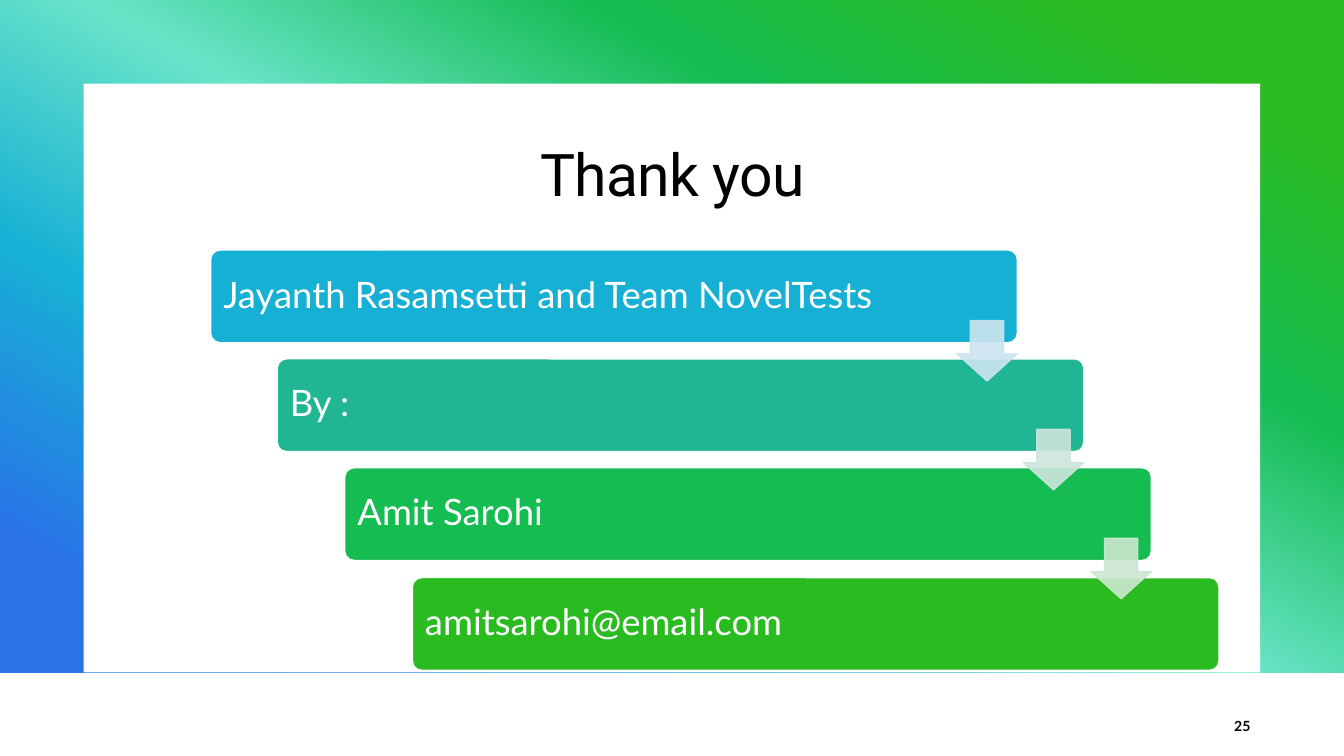
from lxml import etree
from pptx import Presentation
from pptx import util as u
from pptx.dml.color import RGBColor
from pptx.enum import shapes, text
from pptx.oxml.ns import qn

PX = 9144
WHITE = RGBColor(0xFF, 0xFF, 0xFF)
BLACK = RGBColor(0x00, 0x00, 0x00)
LIME = RGBColor(0x2A, 0xBB, 0x21)
GREEN = RGBColor(0x14, 0xBC, 0x51)
MINT = RGBColor(0x68, 0xE4, 0xC8)
TEAL = RGBColor(0x20, 0xB6, 0x94)
CYAN = RGBColor(0x17, 0xB0, 0xD5)
BLUE = RGBColor(0x29, 0x73, 0xE7)
PALE = [RGBColor(0xCC, 0xE4, 0xEF), RGBColor(0xCD, 0xE5, 0xDC), RGBColor(0xCC, 0xE7, 0xD0)]

BLEND = [(10, LIME), (30, GREEN), (50, MINT), (70, CYAN), (90, BLUE)]
STEPS = [
    ("Jayanth Rasamsetti and Team NovelTests", CYAN),
    ("By :", TEAL),
    ("Amit Sarohi", GREEN),
    ("amitsarohi@email.com", LIME),
]
KIND = shapes.MSO_SHAPE
ALIGN = text.PP_ALIGN


class Deck:
    def __init__(self, wide, high):
        self.show = Presentation()
        self.show.slide_width = wide * PX
        self.show.slide_height = high * PX
        self.slide = self.show.slides.add_slide(self.show.slide_layouts[5])

    def words(self, item, line, align, font, space=None, inset=10):
        frame = item.text_frame
        frame.text = line
        look = {"word_wrap": True, "vertical_anchor": text.MSO_ANCHOR.MIDDLE,
                "auto_size": text.MSO_AUTO_SIZE.NONE,
                "margin_left": inset * PX, "margin_right": inset * PX,
                "margin_top": 5 * PX, "margin_bottom": 5 * PX}
        for key, value in look.items():
            setattr(frame, key, value)
        para = frame.paragraphs[0]
        para.alignment = align
        para.line_spacing = space
        run = para.runs[0]
        run.font.color.rgb = font["color"]
        for key in ("name", "size", "bold"):
            setattr(run.font, key, font.get(key))
        return run

    def title(self, line, box, font):
        item = self.slide.shapes.title
        for key, value in zip(("left", "top", "width", "height"), box):
            setattr(item, key, value * PX)
        run = self.words(item, line, ALIGN.CENTER, font, 0.95)
        run._r.get_or_add_rPr().set("spc", "-50")
        self.slide.shapes._spTree.append(item._element)

    def label(self, line, box, font):
        item = self.slide.shapes.add_textbox(*(n * PX for n in box))
        self.words(item, line, ALIGN.RIGHT, font)

    def block(self, kind, box, color, edge=None, adjust=()):
        item = self.slide.shapes.add_shape(kind, *(n * PX for n in box))
        item.shadow.inherit = False
        for i, value in enumerate(adjust):
            item.adjustments[i] = value
        item.fill.solid()
        item.fill.fore_color.rgb = color
        if edge is None:
            item.line.fill.background()
        else:
            item.line.color.rgb = edge
            item.line.width = u.Pt(1)
        return item

    def blend(self, box, stops, angle):
        item = self.block(KIND.RECTANGLE, box, WHITE)
        item.fill.gradient()
        item.fill.gradient_angle = 360 - angle
        group = item._element.spPr.find(qn("a:gradFill")).find(qn("a:gsLst"))
        for old in list(group):
            group.remove(old)
        for share, color in stops:
            stop = etree.SubElement(group, qn("a:gs"), pos=str(share * 1000))
            etree.SubElement(stop, qn("a:srgbClr"), val=str(color))

    def step(self, line, box, color, font):
        item = self.block(KIND.ROUNDED_RECTANGLE, box, color, WHITE, [0.1])
        self.words(item, line, ALIGN.LEFT, font, 0.9)

    def arrow(self, box, color):
        item = self.block(KIND.DOWN_ARROW, box, color, color, [0.55, 0.45])
        for tint in item._element.spPr.iter(qn("a:srgbClr")):
            etree.SubElement(tint, qn("a:alpha"), val="90000")


def main():
    deck = Deck(1333, 750)
    deck.blend((0, 0, 1333, 667), BLEND, 120)
    deck.block(KIND.RECTANGLE, (83, 83, 1167, 584), WHITE)
    deck.title("Thank you", (167, 124, 1000, 101),
               {"name": "Roboto", "size": u.Pt(42), "color": BLACK})
    deck.label("25", (1192, 700, 58, 40),
               {"name": "Lato", "size": u.Pt(10), "bold": True, "color": BLACK})

    spots = [(209 + 200 * i // 3, 248 + 325 * i // 3) for i in range(len(STEPS))]
    font = {"name": "Lato", "size": u.Pt(26), "color": WHITE}
    for (left, top), (line, color) in zip(spots, STEPS):
        deck.step(line, (left, top, 800, 92), color, font)
    for (left, top), color in zip(spots, PALE):
        deck.arrow((left + 740, top + 70, 60, 60), color)

    deck.show.save("out.pptx")


if __name__ == "__main__":
    main()
